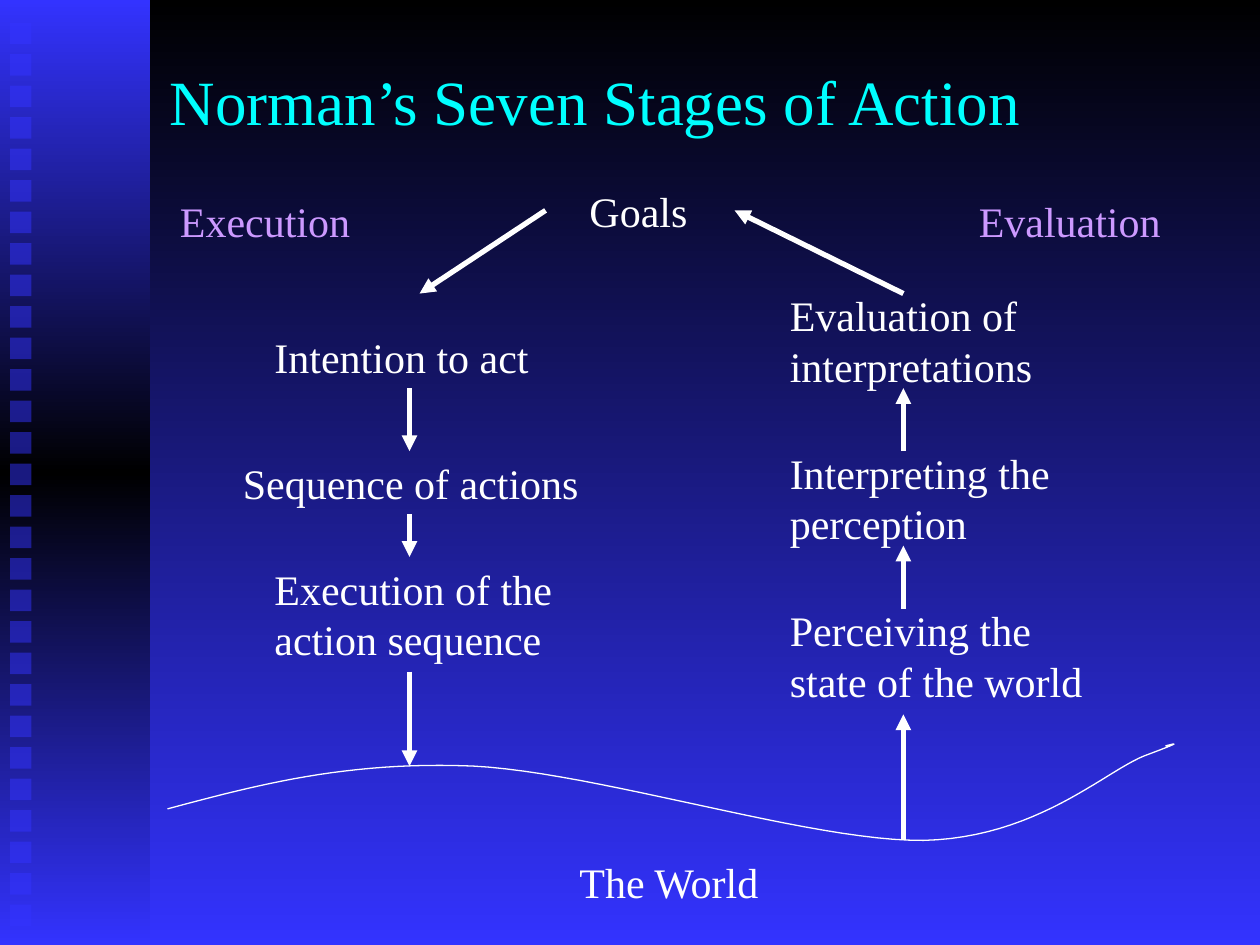
from copy import deepcopy
from dataclasses import dataclass

from lxml.etree import SubElement
from pptx import Presentation
from pptx.dml.color import RGBColor
from pptx.enum.shapes import MSO_CONNECTOR, MSO_SHAPE
from pptx.enum.text import MSO_ANCHOR
from pptx.oxml.ns import qn
from pptx.util import Inches, Pt

COLORS = {"black": "000000", "blue": "3333FF", "title": "00FFFF",
          "text": "FFFFFF", "heading": "CC99FF"}


@dataclass
class Label:
    text: str
    x: float
    y: float
    w: float
    h: float = 0.5
    color: str = "text"


@dataclass
class Arrow:
    x1: float
    y1: float
    x2: float
    y2: float


LABELS = [
    Label("The World", 4.5, 6.75, 2.58),
    Label("Goals", 4.58, 1.42, 1),
    Label("Execution", 1.33, 1.5, 2.33, color="heading"),
    Label("Evaluation", 7.67, 1.5, 2.33, color="heading"),
    Label("Intention to act", 2.08, 2.58, 2.42),
    Label("Sequence of actions", 1.83, 3.58, 3),
    Label("Execution of the action sequence", 2.08, 4.42, 2.58, 0.9),
    Label("Evaluation of interpretations", 6.17, 2.25, 2.42, 0.9),
    Label("Interpreting the perception", 6.17, 3.5, 2.5, 0.9),
    Label("Perceiving the state of the world", 6.17, 4.75, 2.67, 0.9),
]
EXECUTION_X, EVALUATION_X = 3.25, 7.17
ARROWS = [
    Arrow(4.33, 1.67, 3.33, 2.33),
    *(Arrow(EXECUTION_X, a, EXECUTION_X, b)
      for a, b in [(3.08, 3.58), (4.08, 4.42), (5.33, 6.08)]),
    *(Arrow(EVALUATION_X, a, EVALUATION_X, b)
      for a, b in [(6.67, 5.67), (4.83, 4.33), (3.58, 3.08)]),
    Arrow(EVALUATION_X, 2.33, 5.83, 1.67),
]
HORIZON_START = (1.33, 6.42)
HORIZON_CURVES = [
    ((2.04, 6.23), (2.75, 6.04), (3.75, 6.08)),
    ((4.75, 6.13), (6.44, 6.68), (7.33, 6.67)),
    ((8.22, 6.65), (8.76, 6.13), (9.08, 6)),
    ((9.4, 5.88), (9.33, 5.9), (9.25, 5.92)),
]


def rgb(name: str) -> RGBColor:
    return RGBColor.from_string(COLORS[name])


def fill_gradient(fill, first: str, last: str) -> None:
    fill.gradient()
    fill.gradient_angle = 270
    for stop, name in zip(fill.gradient_stops, (first, last)):
        stop.color.rgb = rgb(name)


def add_rect(s, x: float, y: float, w: float, h: float):
    sp = s.shapes.add_shape(MSO_SHAPE.RECTANGLE, Inches(x), Inches(y), Inches(w), Inches(h))
    sp.shadow.inherit = False
    sp.line.fill.background()
    return sp


def add_sidebar(s) -> None:
    sp = add_rect(s, 0, 0, 1.19, 7.5)
    fill_gradient(sp.fill, "blue", "black")
    stops = sp._element.spPr.find(qn("a:gradFill")).find(qn("a:gsLst"))
    end = deepcopy(stops[0])
    stops[1].set("pos", "50000")
    end.set("pos", "100000")
    stops.append(end)
    for i in range(29):
        sp = add_rect(s, 0.08, 0.18 + i * 0.25, 0.17, 0.17)
        sp.fill.solid()
        sp.fill.fore_color.rgb = rgb("blue")
        color = sp._element.spPr.find(qn("a:solidFill"))[0]
        SubElement(color, qn("a:alpha")).set("val", "50000")


def add_text(s, text: str, x: float, y: float, w: float, h: float, *, color: str = "text",
             size: float = 24, before: float = 15, anchor=MSO_ANCHOR.TOP) -> None:
    tf = s.shapes.add_textbox(Inches(x), Inches(y), Inches(w), Inches(h)).text_frame
    tf.word_wrap = True
    tf.vertical_anchor = anchor
    p = tf.paragraphs[0]
    p.space_before = Pt(before)
    r = p.add_run()
    r.text = text
    r.font.size = Pt(size)
    r.font.name = "Times New Roman"
    r.font.color.rgb = rgb(color)


def add_arrow(s, a: Arrow) -> None:
    c = s.shapes.add_connector(MSO_CONNECTOR.STRAIGHT, Inches(a.x1), Inches(a.y1),
                               Inches(a.x2), Inches(a.y2))
    c.line.color.rgb = rgb("text")
    c.line.width = Pt(3)
    SubElement(c.line._get_or_add_ln(), qn("a:tailEnd")).set("type", "triangle")
    SubElement(c._element.spPr, qn("a:effectLst"))


def curve_points(start: tuple, curve: tuple, steps: int = 24) -> list[tuple]:
    points = []
    for i in range(1, steps + 1):
        t = i / steps
        weights = ((1 - t) ** 3, 3 * t * (1 - t) ** 2, 3 * t * t * (1 - t), t ** 3)
        points.append(tuple(Inches(sum(k * v for k, v in zip(weights, axis)))
                            for axis in zip(start, *curve)))
    return points


def add_horizon(s) -> None:
    builder = s.shapes.build_freeform(*(Inches(v) for v in HORIZON_START))
    start = HORIZON_START
    for curve in HORIZON_CURVES:
        builder.add_line_segments(curve_points(start, curve), close=False)
        start = curve[-1]
    sp = builder.convert_to_shape()
    sp.shadow.inherit = False
    sp.fill.background()
    sp.line.color.rgb = rgb("text")
    sp.line.width = Pt(0.75)


def main() -> None:
    prs = Presentation()
    prs.slide_width, prs.slide_height = Inches(10), Inches(7.5)
    s = prs.slides.add_slide(prs.slide_layouts[6])
    fill_gradient(s.background.fill, "black", "blue")
    add_sidebar(s)
    add_text(s, "Norman’s Seven Stages of Action", 1.25, 0.17, 8.5, 1.25,
             color="title", size=36, before=0, anchor=MSO_ANCHOR.MIDDLE)
    add_horizon(s)
    for b in LABELS:
        add_text(s, b.text, b.x, b.y, b.w, b.h, color=b.color)
    for a in ARROWS:
        add_arrow(s, a)
    prs.save("out.pptx")


if __name__ == "__main__":
    main()
